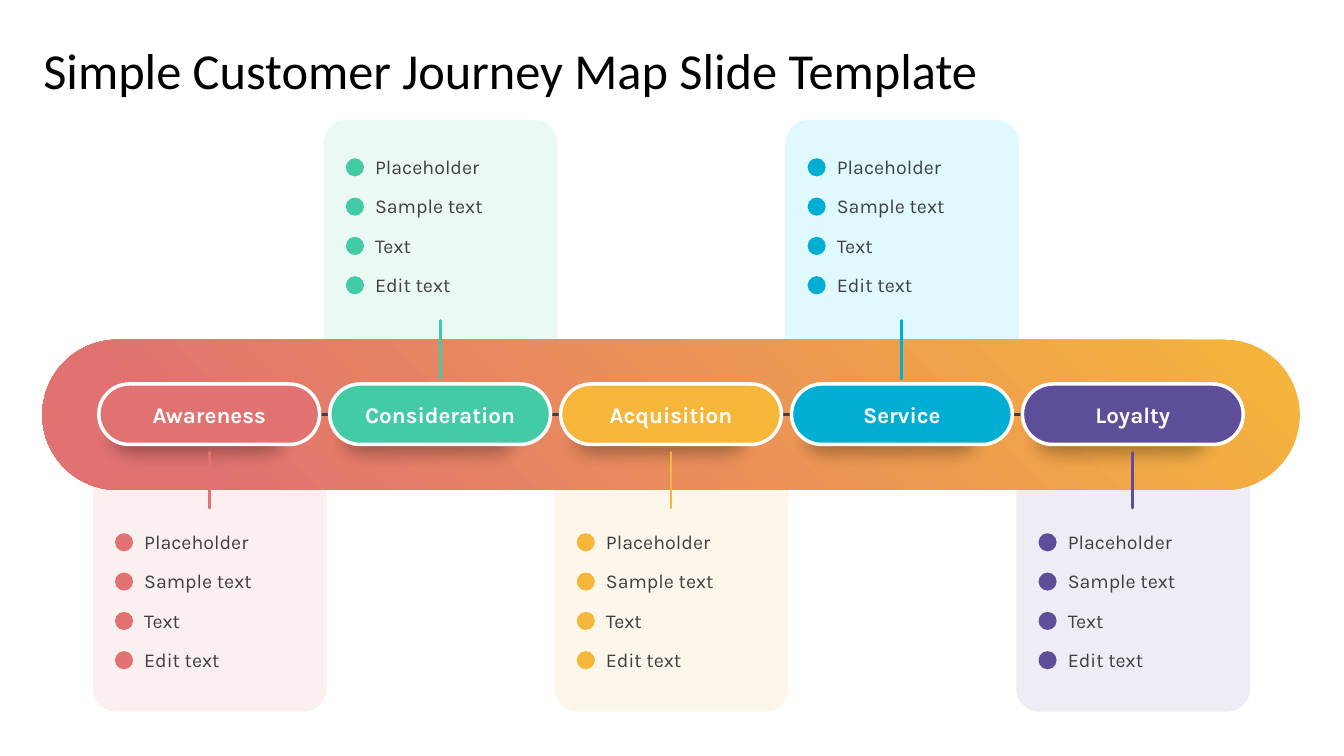
from lxml import etree
from pptx import Presentation
from pptx.dml.color import RGBColor
from pptx.enum.shapes import MSO_CONNECTOR, MSO_SHAPE
from pptx.enum.text import MSO_ANCHOR, PP_ALIGN
from pptx.oxml.ns import qn
from pptx.util import Inches, Pt

ROUNDED, OVAL = MSO_SHAPE.ROUNDED_RECTANGLE, MSO_SHAPE.OVAL
STRAIGHT = MSO_CONNECTOR.STRAIGHT
MIDDLE = MSO_ANCHOR.MIDDLE
LEFT, CENTER = PP_ALIGN.LEFT, PP_ALIGN.CENTER

WHITE, BLACK = RGBColor(255, 255, 255), RGBColor(0, 0, 0)
GREY = RGBColor(0x40, 0x40, 0x40)
RED, PALE_RED = RGBColor(0xE1, 0x72, 0x71), RGBColor(0xF9, 0xE3, 0xE3)
GREEN, PALE_GREEN = RGBColor(0x43, 0xCB, 0xA5), RGBColor(0xD9, 0xF5, 0xED)
YELLOW, PALE_YELLOW = RGBColor(0xF6, 0xB6, 0x3A), RGBColor(0xFD, 0xF0, 0xD8)
BLUE, PALE_BLUE = RGBColor(0x00, 0xAE, 0xD3), RGBColor(0xC3, 0xF5, 0xFF)
PURPLE, PALE_PURPLE = RGBColor(0x5E, 0x4E, 0x99), RGBColor(0xDE, 0xDA, 0xEC)

STAGES = [
    ("Awareness", RED, PALE_RED),
    ("Consideration", GREEN, PALE_GREEN),
    ("Acquisition", YELLOW, PALE_YELLOW),
    ("Service", BLUE, PALE_BLUE),
    ("Loyalty", PURPLE, PALE_PURPLE),
]
ITEMS = ["Placeholder", "Sample text", "Text", "Edit text"]

FIRST_PILL, PILL_TOP, PILL_PITCH = 0.98, 3.81, 2.29
PILL_W, PILL_H = 2.19, 0.6
CARD_W, CARD_H = 2.32, 2.52
ITEM_PITCH, ITEM_H, DOT = 0.39, 0.29, 0.18


def add_box(s, kind, x, y, w, h, color=None, alpha=None, radius=None):
    """Add a preset shape with no line or shadow."""
    sp = s.shapes.add_shape(kind, Inches(x), Inches(y), Inches(w), Inches(h))
    sp.shadow.inherit = False
    sp.line.fill.background()
    if radius is not None:
        sp.adjustments[0] = radius
    if color is not None:
        sp.fill.solid()
        sp.fill.fore_color.rgb = color
    if alpha is not None:
        clr = sp.element.spPr.find(qn("a:solidFill"))[0]
        etree.SubElement(clr, qn("a:alpha")).set("val", str(alpha * 1000))
    return sp


def add_line(s, x1, y1, x2, y2, color):
    """Add a straight line with round ends."""
    line = s.shapes.add_connector(STRAIGHT, Inches(x1), Inches(y1), Inches(x2), Inches(y2))
    line.line.color.rgb = color
    line.line.width = Pt(2)
    spPr = line._element.spPr
    spPr.find(qn("a:ln")).set("cap", "rnd")
    etree.SubElement(spPr, qn("a:effectLst"))


def set_text(sp, text, size=14, font="Karla", color=GREY, bold=False, align=LEFT, inset=0):
    """Write one formatted paragraph, centred vertically."""
    tf = sp.text_frame
    tf.word_wrap = True
    tf.vertical_anchor = MIDDLE
    tf.margin_left = tf.margin_right = 0
    tf.margin_top = tf.margin_bottom = Inches(inset)
    p = tf.paragraphs[0]
    p.alignment = align
    r = p.add_run()
    r.text = text
    r.font.size, r.font.name, r.font.bold = Pt(size), font, bold
    r.font.color.rgb = color


def add_title(s, x, y, w, h):
    """Place and fill the title placeholder."""
    title = s.shapes.title
    title.left, title.top, title.width, title.height = map(Inches, (x, y, w, h))
    set_text(title, "Simple Customer Journey Map Slide Template",
             size=36, font="Calibri", color=BLACK, inset=0.07)


def add_card(s, x, y, list_offset, color, pale):
    """Draw a pale card with its dotted list."""
    add_box(s, ROUNDED, x, y, CARD_W, CARD_H, pale, alpha=50, radius=0.1)
    for i, item in enumerate(ITEMS):
        top = y + list_offset + i * ITEM_PITCH
        add_box(s, OVAL, x + 0.22, top + 0.06, DOT, DOT, color)
        tb = s.shapes.add_textbox(Inches(x + 0.51), Inches(top), Inches(1.58), Inches(ITEM_H))
        set_text(tb, item)


def add_band(s, x, y, w, h):
    """Draw the gradient band behind the stages."""
    fill = add_box(s, ROUNDED, x, y, w, h, radius=0.5).fill
    fill.gradient()
    fill.gradient_angle = 225
    for stop, color, position in zip(fill.gradient_stops, (YELLOW, RED), (0, 0.88)):
        stop.color.rgb = color
        stop.position = position


def add_pill_shadow(s, x, y):
    """Draw a soft shadow below a pill."""
    sp = add_box(s, ROUNDED, x - 0.11, y + 0.27, PILL_W, PILL_H, BLACK, alpha=30, radius=0.5)
    effects = sp.element.spPr.find(qn("a:effectLst"))
    etree.SubElement(effects, qn("a:softEdge")).set("rad", str(Pt(12.5)))


def add_pill(s, x, y, label, color):
    """Draw a labelled stage pill."""
    sp = add_box(s, ROUNDED, x, y, PILL_W, PILL_H, color, radius=0.5)
    sp.line.color.rgb = WHITE
    sp.line.width = Pt(2.5)
    set_text(sp, label, size=16, color=WHITE, bold=True, align=CENTER)


def add_journey(s):
    """Layer the cards, band, pills and stems of the journey."""
    stages = [(FIRST_PILL + i * PILL_PITCH, i % 2 == 1, *stage)
              for i, stage in enumerate(STAGES)]
    for x, above, _, color, pale in stages:
        card_top, list_offset = (1.19, 0.32) if above else (4.54, 0.69)
        add_card(s, x - 0.06, card_top, list_offset, color, pale)
    add_band(s, 0.42, 3.37, 12.47, 1.49)
    for x, *_ in stages:
        add_pill_shadow(s, x, PILL_TOP)
    middle = PILL_TOP + PILL_H / 2
    add_line(s, 1.23, middle, 11.94, middle, GREY)
    for x, above, label, color, _ in stages:
        add_pill(s, x, PILL_TOP, label, color)
        center = x + PILL_W / 2
        start, end = (3.18, 3.76) if above else (4.49, 5.04)
        add_line(s, center, start, center, end, color)


prs = Presentation()
prs.slide_width, prs.slide_height = Inches(13.33), Inches(7.5)
s = prs.slides.add_slide(prs.slide_layouts[5])
add_title(s, 0.43, 0.3, 12.47, 0.78)
add_journey(s)
prs.save("out.pptx")
